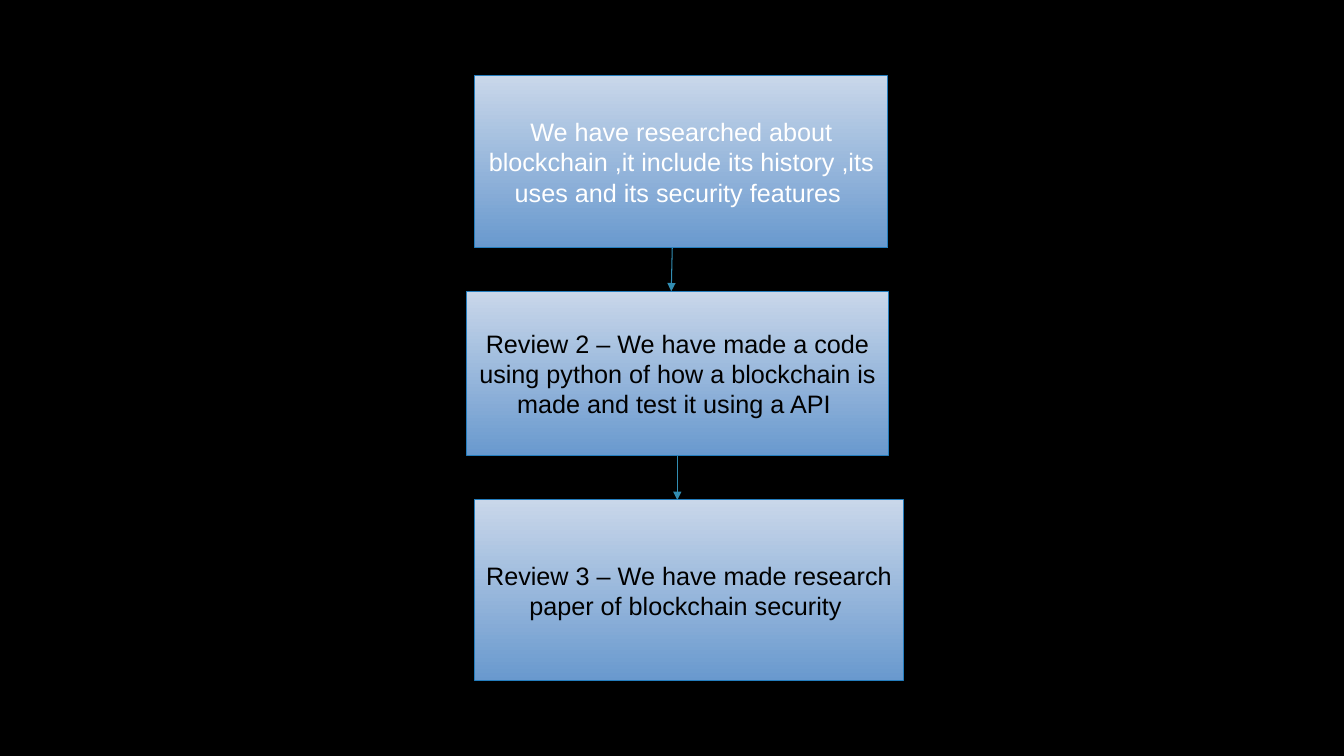
from dataclasses import dataclass

from lxml.etree import SubElement
from pptx import Presentation
from pptx.dml.color import RGBColor
from pptx.enum.shapes import MSO_CONNECTOR as Connector, MSO_SHAPE as Shape
from pptx.enum.text import MSO_ANCHOR as Anchor, PP_ALIGN as Align
from pptx.oxml.ns import qn
from pptx.util import Pt


@dataclass(frozen=True)
class Theme:
    background: RGBColor = RGBColor.from_string("000000")
    box_top: RGBColor = RGBColor.from_string("C9D7EA")
    box_bottom: RGBColor = RGBColor.from_string("6999CE")
    box_line: RGBColor = RGBColor.from_string("247DBD")
    arrow: RGBColor = RGBColor.from_string("328DB2")
    light_text: RGBColor = RGBColor.from_string("FFFFFF")
    dark_text: RGBColor = RGBColor.from_string("000000")
    font: str = "Arial"
    text_size: float = 18
    line_width: float = 0.75


THEME = Theme()

# left, top, width, height, text colour, text
STEPS = [
    (339.1, 54, 295.2, 123, THEME.light_text,
     "We have researched about blockchain ,it include its history ,its uses "
     "and its security features "),
    (333.4, 208.1, 301, 117.4, THEME.dark_text,
     "Review 2 – We have made a code using python of how a blockchain is made "
     "and test it using a API "),
    (339.1, 357.1, 306, 128.9, THEME.dark_text,
     "Review 3 – We have made research paper of blockchain security "),
]

# start and end x of the arrow below each step but the last
ARROWS = [(480.2, 479.5), (483.8, 483.8)]


def style_line(line, color):
    line.color.rgb = color
    line.width = Pt(THEME.line_width)


def fill_gradient(fill):
    """Shade from the light colour at the top to the darker one below."""
    fill.gradient()
    fill.gradient_angle = 270
    colors = (THEME.box_top, THEME.box_bottom)
    for position, (stop, color) in enumerate(zip(fill.gradient_stops, colors)):
        stop.position = position
        stop.color.rgb = color


def add_step(page, left, top, width, height, color, text):
    box = page.shapes.add_shape(
        Shape.RECTANGLE, Pt(left), Pt(top), Pt(width), Pt(height))
    box.shadow.inherit = False
    fill_gradient(box.fill)
    style_line(box.line, THEME.box_line)
    frame = box.text_frame
    frame.word_wrap = True
    frame.vertical_anchor = Anchor.MIDDLE
    para = frame.paragraphs[0]
    para.alignment = Align.CENTER
    span = para.add_run()
    span.text = text
    span.font.name = THEME.font
    span.font.size = Pt(THEME.text_size)
    span.font.color.rgb = color


def add_arrow(page, start_x, start_y, end_x, end_y):
    arrow = page.shapes.add_connector(
        Connector.STRAIGHT, Pt(start_x), Pt(start_y), Pt(end_x), Pt(end_y))
    style_line(arrow.line, THEME.arrow)
    properties = arrow.element.spPr
    SubElement(properties.find(qn("a:ln")), qn("a:tailEnd"), type="triangle")
    SubElement(properties, qn("a:effectLst"))


def main():
    deck = Presentation()
    deck.slide_width, deck.slide_height = Pt(960), Pt(540)
    page = deck.slides.add_slide(deck.slide_layouts[6])
    background = page.background.fill
    background.solid()
    background.fore_color.rgb = THEME.background

    for step in STEPS:
        add_step(page, *step)
    for upper, lower, (start_x, end_x) in zip(STEPS, STEPS[1:], ARROWS):
        add_arrow(page, start_x, upper[1] + upper[3], end_x, lower[1])

    deck.save("out.pptx")


if __name__ == "__main__":
    main()
